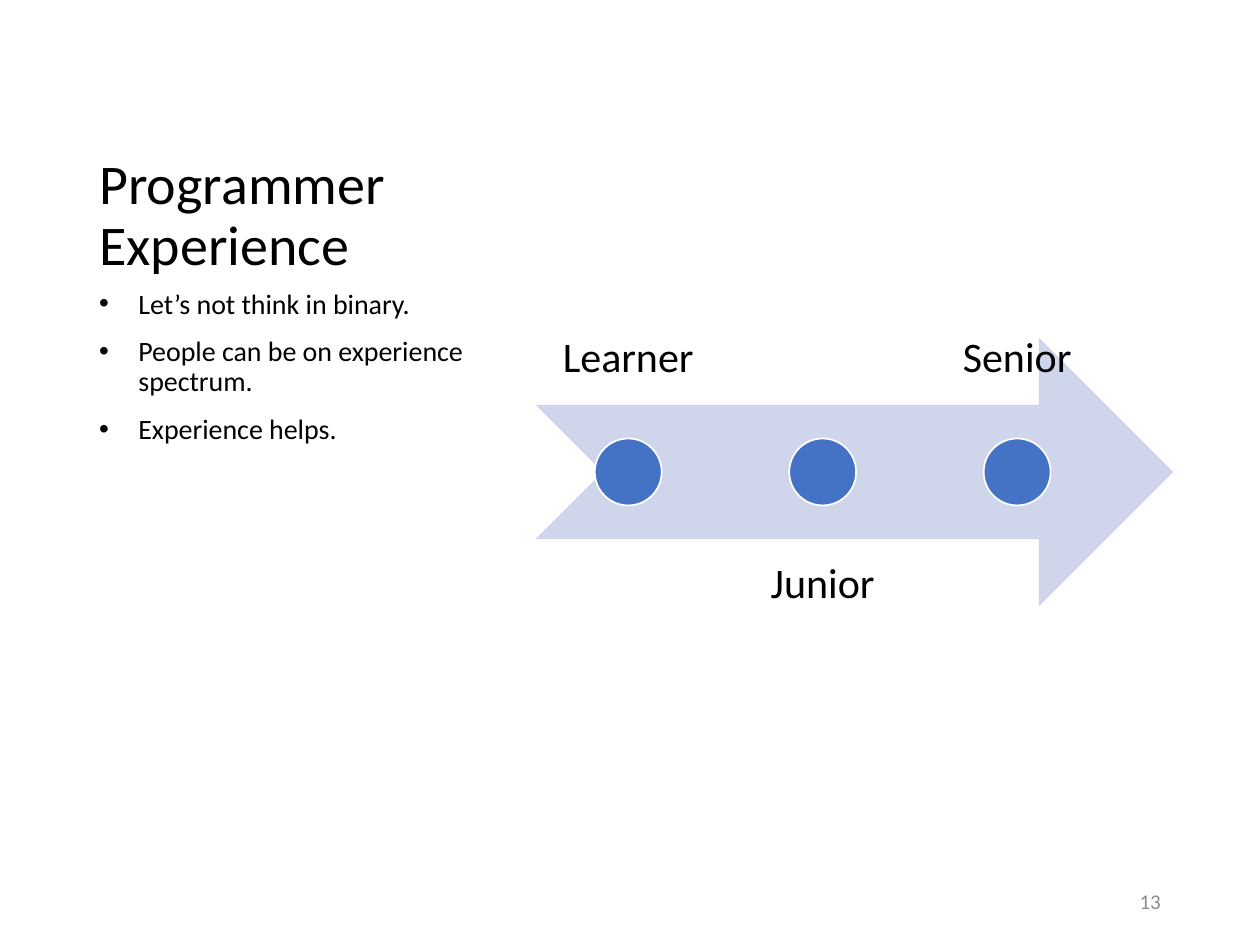
from lxml.etree import SubElement
from pptx import Presentation
from pptx.dml.color import RGBColor
from pptx.enum.shapes import MSO_SHAPE as Shape
from pptx.enum.text import MSO_ANCHOR as Anchor, MSO_AUTO_SIZE as AutoSize, PP_ALIGN as Align
from pptx.oxml.ns import qn
from pptx.util import Cm, Pt


def color(hex_string):
    return RGBColor.from_string(hex_string)


def write(paragraph, text, size, align, hex_string="000000", spacing=0.9):
    paragraph.alignment = align
    paragraph.line_spacing = spacing
    run = paragraph.add_run()
    run.text = text
    run.font.name = "Calibri"
    run.font.size = Pt(size)
    run.font.color.rgb = color(hex_string)


presentation = Presentation()
presentation.slide_width = Cm(25.4)
presentation.slide_height = Cm(19.05)
slide = presentation.slides.add_slide(presentation.slide_layouts[5])

title = slide.shapes.title
title.left, title.top, title.width, title.height = Cm(1.75), Cm(1.27), Cm(8.2), Cm(4.45)
title.text_frame.auto_size = AutoSize.NONE
title.text_frame.word_wrap = True
title.text_frame.vertical_anchor = Anchor.BOTTOM
write(title.text_frame.paragraphs[0], "Programmer Experience", 32, Align.LEFT)

body = slide.shapes.add_textbox(Cm(1.75), Cm(5.72), Cm(8.2), Cm(10.59))
body.text_frame.word_wrap = True
points = ["Let’s not think in binary.", "People can be on experience spectrum.", "Experience helps."]
for index, point in enumerate(points):
    paragraph = body.text_frame.add_paragraph() if index else body.text_frame.paragraphs[0]
    properties = paragraph._p.get_or_add_pPr()
    properties.set("marL", str(Cm(0.79)))
    properties.set("indent", str(-Cm(0.79)))
    SubElement(properties, qn("a:buFont"), typeface="Arial")
    SubElement(properties, qn("a:buChar"), char="•")
    if index:
        paragraph.space_before = Pt(10)
    write(paragraph, point, 16, Align.LEFT)

timeline = slide.shapes.add_group_shape()
arrow = timeline.shapes.add_shape(Shape.NOTCHED_RIGHT_ARROW, Cm(10.8), Cm(6.81), Cm(12.85), Cm(5.41))
arrow.shadow.inherit = False
arrow.fill.solid()
arrow.fill.fore_color.rgb = color("CFD5EA")
arrow.line.fill.background()

label_width, dot_size, step = 3.73, 1.35, 3.92
stages = [("Learner", 2.74, Anchor.BOTTOM), ("Junior", 10.87, Anchor.TOP), ("Senior", 2.74, Anchor.BOTTOM)]
for index, (stage, top, anchor) in enumerate(stages):
    left = 10.8 + index * step
    label = timeline.shapes.add_textbox(Cm(left), Cm(top), Cm(label_width), Cm(5.41))
    frame = label.text_frame
    frame.word_wrap = True
    frame.vertical_anchor = anchor
    frame.margin_left = frame.margin_right = frame.margin_top = frame.margin_bottom = Cm(0.48)
    write(frame.paragraphs[0], stage, 24, Align.CENTER)

    dot_left = left + (label_width - dot_size) / 2
    dot = timeline.shapes.add_shape(Shape.OVAL, Cm(dot_left), Cm(8.84), Cm(dot_size), Cm(dot_size))
    dot.shadow.inherit = False
    dot.fill.solid()
    dot.fill.fore_color.rgb = color("4472C4")
    dot.line.color.rgb = color("FFFFFF")
    dot.line.width = Pt(1)

page_number = slide.shapes.add_textbox(Cm(17.93), Cm(17.65), Cm(5.72), Cm(1.02))
page_number.text_frame.word_wrap = True
page_number.text_frame.vertical_anchor = Anchor.MIDDLE
write(page_number.text_frame.paragraphs[0], "13", 12, Align.RIGHT, "8C8C8C", 1.0)

presentation.save("out.pptx")
